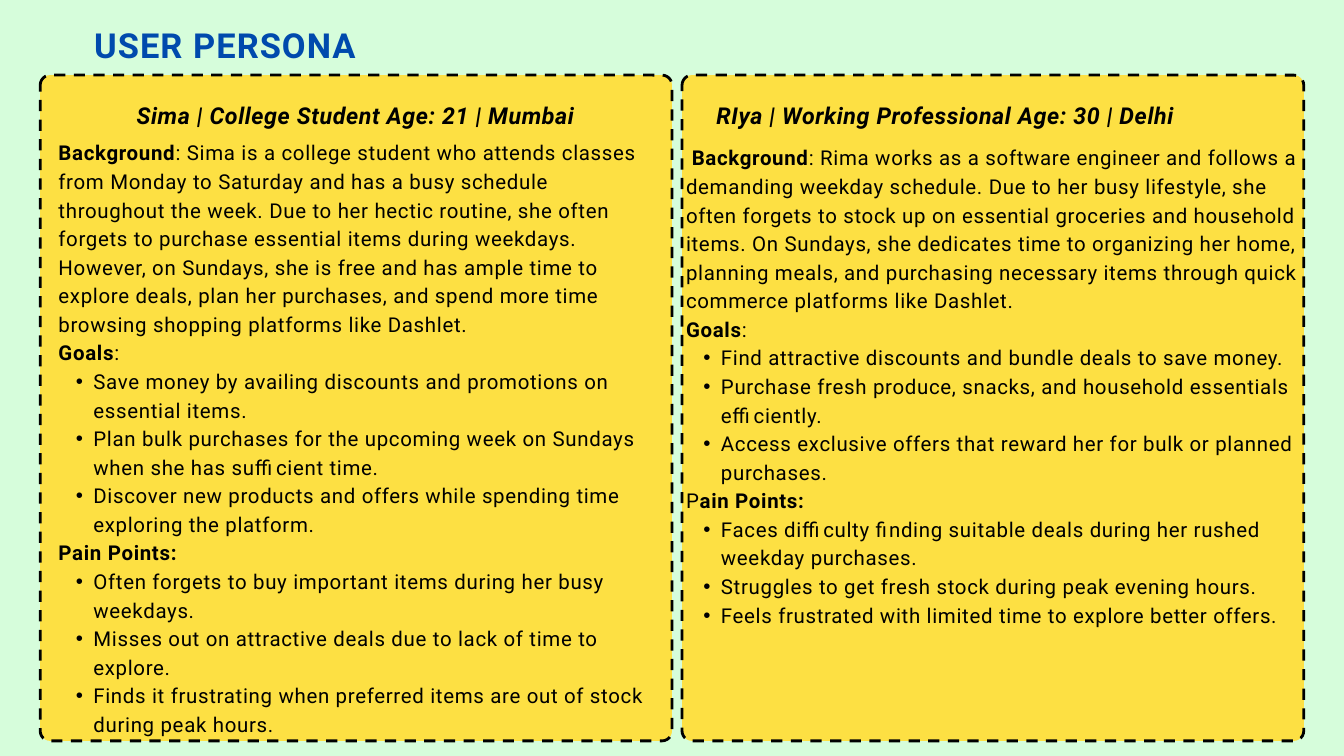
from lxml.etree import SubElement
from pptx import Presentation
from pptx.dml.color import RGBColor
from pptx.enum.dml import MSO_LINE
from pptx.enum.shapes import MSO_SHAPE
from pptx.enum.text import MSO_ANCHOR, MSO_AUTO_SIZE, PP_ALIGN
from pptx.oxml.ns import qn
from pptx.util import Cm, Pt

MINT = RGBColor(0xD6, 0xFD, 0xDB)
YELLOW = RGBColor(0xFD, 0xE0, 0x43)
BLUE = RGBColor(0x00, 0x4A, 0xAD)
BLACK = RGBColor(0, 0, 0)

CARD_TOP, CARD_HEIGHT, CORNER = 2.84, 25.17, 0.38

# Text between ** is bold; a line that starts with • is a list item.
personas = [
    {
        "card": (1.52, 23.88),
        "heading_box": (5.05, 3.66, 16.8, 1.17),
        "heading": "Sima | College Student Age: 21 | Mumbai",
        "align": PP_ALIGN.CENTER,
        "body_box": (2.21, 5.16, 22.53, 23.42),
        "body": [
            "**Background**: Sima is a college student who attends classes from Monday to "
            "Saturday and has a busy schedule throughout the week. Due to her hectic routine, "
            "she often forgets to purchase essential items during weekdays. However, on "
            "Sundays, she is free and has ample time to explore deals, plan her purchases, "
            "and spend more time browsing shopping platforms like Dashlet.",
            "**Goals**:",
            "•Save money by availing discounts and promotions on essential items.",
            "•Plan bulk purchases for the upcoming week on Sundays when she has sufficient time.",
            "•Discover new products and offers while spending time exploring the platform.",
            "**Pain Points:**",
            "•Often forgets to buy important items during her busy weekdays.",
            "•Misses out on attractive deals due to lack of time to explore.",
            "•Finds it frustrating when preferred items are out of stock during peak hours.",
        ],
    },
    {
        "card": (25.78, 23.5),
        "heading_box": (27.08, 3.66, 20.9, 1.17),
        "heading": "RIya | Working Professional Age: 30 | Delhi",
        "align": PP_ALIGN.LEFT,
        "body_box": (25.93, 5.35, 23.19, 22.5),
        "body": [
            " **Background**: Rima works as a software engineer and follows a demanding weekday "
            "schedule. Due to her busy lifestyle, she often forgets to stock up on essential "
            "groceries and household items. On Sundays, she dedicates time to organizing her "
            "home, planning meals, and purchasing necessary items through quick commerce "
            "platforms like Dashlet.",
            "**Goals**:",
            "•Find attractive discounts and bundle deals to save money.",
            "•Purchase fresh produce, snacks, and household essentials efficiently.",
            "•Access exclusive offers that reward her for bulk or planned purchases.",
            "P**ain Points:**",
            "•Faces difficulty finding suitable deals during her rushed weekday purchases.",
            "•Struggles to get fresh stock during peak evening hours.",
            "•Feels frustrated with limited time to explore better offers.",
        ],
    },
]


def place(sp, box):
    """Move a placeholder and clear its margins; return its text frame."""
    sp.left, sp.top, sp.width, sp.height = [Cm(v) for v in box]
    tf = sp.text_frame
    tf.margin_left = tf.margin_right = tf.margin_top = tf.margin_bottom = 0
    tf.word_wrap = True
    tf.auto_size = MSO_AUTO_SIZE.NONE
    tf.vertical_anchor = MSO_ANCHOR.TOP
    return tf


def write(p, text, size, leading, color=BLACK, italic=False, align=PP_ALIGN.LEFT, spacing=70):
    """Fill a paragraph, with bold marks and an optional bullet."""
    bullet = text.startswith("•")
    p.alignment = align
    p.line_spacing = Pt(leading)
    p.space_before = p.space_after = Pt(0)
    pPr = p._p.get_or_add_pPr()
    pPr.set("marL", str(Cm(1.32) if bullet else 0))
    pPr.set("indent", str(Cm(-0.66) if bullet else 0))
    if bullet:
        p.level = 1
        SubElement(pPr, qn("a:buFont")).set("typeface", "Arial")
        SubElement(pPr, qn("a:buChar")).set("char", "•")
    else:
        SubElement(pPr, qn("a:buNone"))
    for i, part in enumerate(text.lstrip("•").split("**")):
        if part:
            r = p.add_run()
            r.text = part
            r.font.name = "Roboto"
            r.font.size = Pt(size)
            r.font.bold = i % 2 == 1
            r.font.italic = italic
            r.font.color.rgb = color
            r._r.get_or_add_rPr().set("spc", str(spacing))


prs = Presentation()
prs.slide_width, prs.slide_height = Cm(50.8), Cm(28.58)
s = prs.slides.add_slide(prs.slide_layouts.get_by_name("Comparison"))
s.background.fill.solid()
s.background.fill.fore_color.rgb = MINT

tf = place(s.shapes.title, (3.56, 0.64, 9.9, 1.72))
write(tf.paragraphs[0], "**USER PERSONA**", 36.9, 51.6, BLUE,
      align=PP_ALIGN.CENTER, spacing=110)

# The layout holds a heading and a body for each side
heading_1, body_1, heading_2, body_2 = list(s.placeholders)[1:]
sides = [(heading_1, body_1), (heading_2, body_2)]

for persona, (heading, body) in zip(personas, sides):
    left, width = persona["card"]
    card = s.shapes.add_shape(MSO_SHAPE.ROUNDED_RECTANGLE, Cm(left), Cm(CARD_TOP),
                              Cm(width), Cm(CARD_HEIGHT))
    card.adjustments[0] = CORNER / width
    card.shadow.inherit = False
    card.fill.solid()
    card.fill.fore_color.rgb = YELLOW
    card.line.color.rgb = BLACK
    card.line.width = Pt(3)
    card.line.dash_style = MSO_LINE.DASH
    s.shapes.element.insert(2, card.element)  # behind the text

    tf = place(heading, persona["heading_box"])
    write(tf.paragraphs[0], f"**{persona['heading']}**", 24.9, 34.8,
          italic=True, align=persona["align"])

    tf = place(body, persona["body_box"])
    for i, text in enumerate(persona["body"]):
        p = tf.add_paragraph() if i else tf.paragraphs[0]
        write(p, text, 21.9, 30.6)

prs.save("out.pptx")
